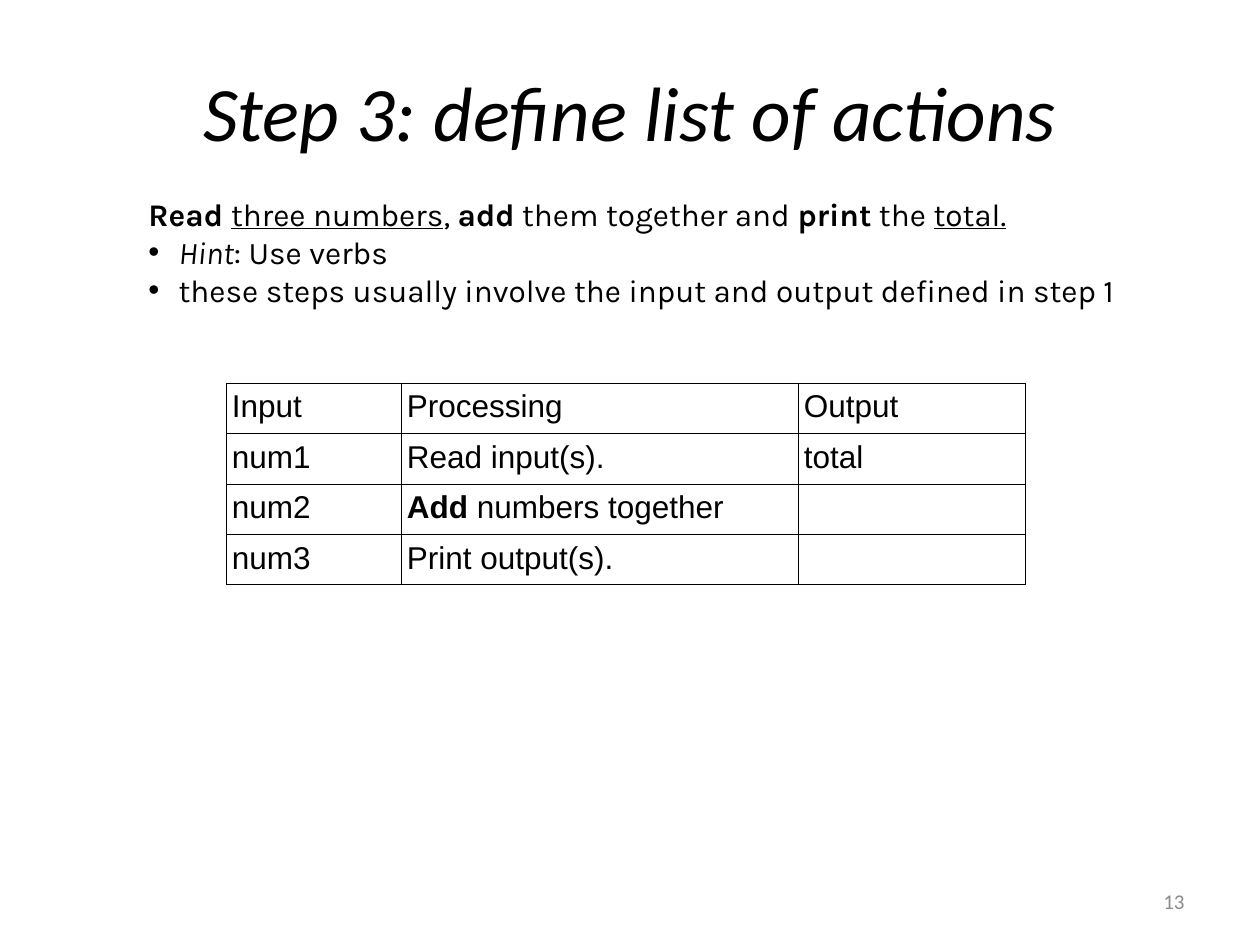
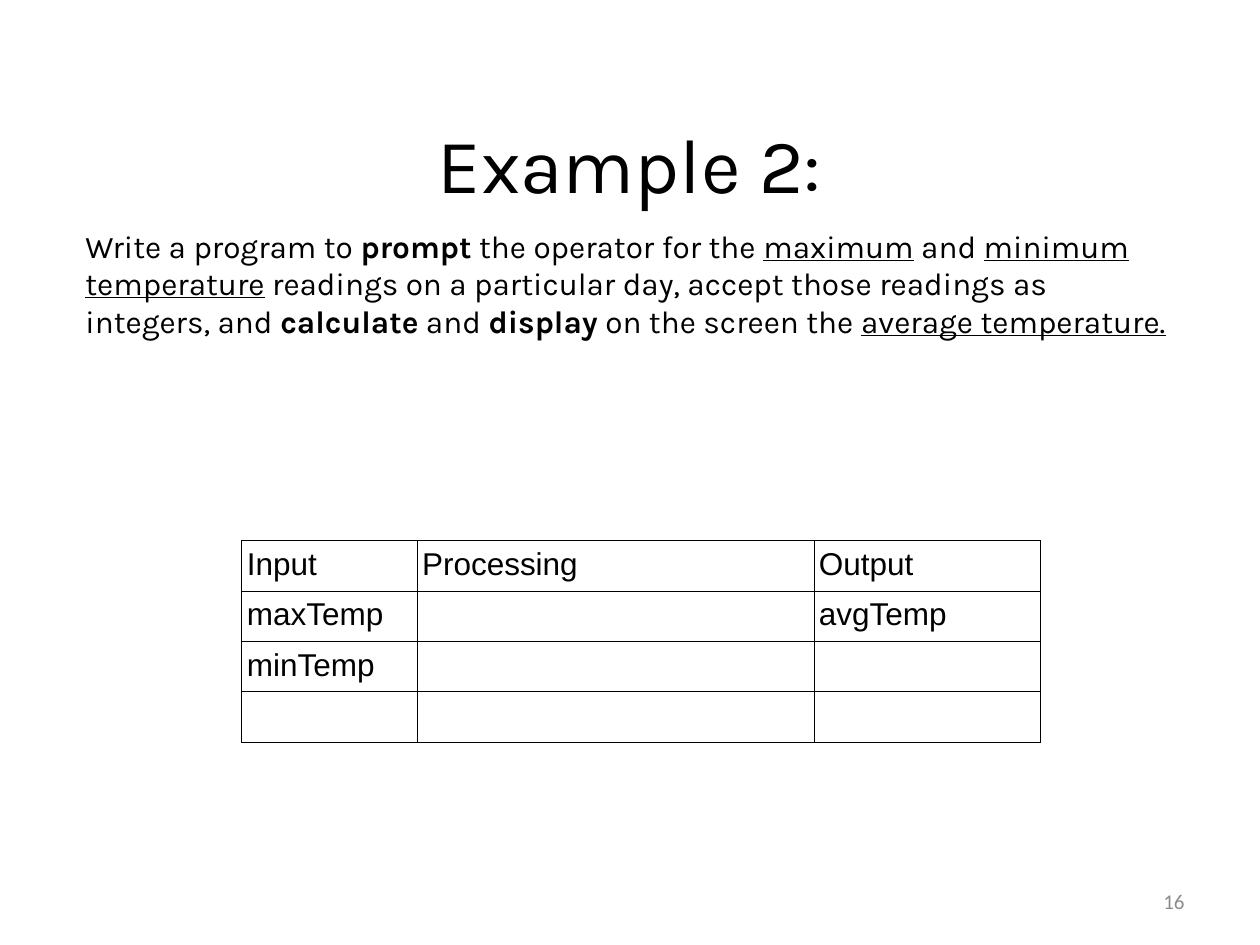
from lxml import etree
from pptx import Presentation
from pptx.dml.color import RGBColor
from pptx.enum.text import MSO_ANCHOR, PP_ALIGN
from pptx.oxml.ns import qn
from pptx.util import Inches, Pt

CENTER = PP_ALIGN.CENTER
RIGHT = PP_ALIGN.RIGHT
MIDDLE = MSO_ANCHOR.MIDDLE
BLACK = RGBColor(0x00, 0x00, 0x00)
GREY = RGBColor(0x8C, 0x8C, 0x8C)
BODY_FONT = "Karla"
NUMBER_FONT = "Calibri"
TABLE_FONT = "Arial"
TITLE_ONLY = 5
COLUMN_WIDTHS = (1.39, 3.15, 1.8)
ROW_HEIGHT = 0.4
BORDER_WIDTH = 0.57
BULLET_INDENT = 0.24


class Deck:
    def __init__(self):
        self.presentation = Presentation()
        self.presentation.slide_width = Inches(10)
        self.presentation.slide_height = Inches(7.5)
        self.slide = None

    def add_slide(self, number):
        layout = self.presentation.slide_layouts[TITLE_ONLY]
        self.slide = self.presentation.slides.add_slide(layout)
        text_frame = self.text_box(7.17, 6.95, 2.33, 0.4)
        text_frame.vertical_anchor = MIDDLE
        paragraph = text_frame.paragraphs[0]
        paragraph.alignment = RIGHT
        self.add_runs(paragraph, [(str(number), "")], NUMBER_FONT, 12, GREY)

    def title(self, text, top, font, style=""):
        shape = self.slide.shapes.title
        shape.left, shape.top = Inches(0.75), Inches(top)
        shape.width, shape.height = Inches(8.5), Inches(1.25)
        shape.text_frame.vertical_anchor = MIDDLE
        paragraph = shape.text_frame.paragraphs[0]
        paragraph.alignment = CENTER
        self.add_runs(paragraph, [(text, style)], font, 44)

    def text_box(self, left, top, width, height):
        shape = self.slide.shapes.add_textbox(
            Inches(left), Inches(top), Inches(width), Inches(height))
        shape.text_frame.word_wrap = True
        return shape.text_frame

    def add_runs(self, paragraph, pieces, font, size, color=BLACK):
        for text, style in pieces:
            run = paragraph.add_run()
            run.text = text
            run.font.name = font
            run.font.size = Pt(size)
            run.font.color.rgb = color
            run.font.bold = "b" in style
            run.font.italic = "i" in style
            run.font.underline = "u" in style

    def body(self, left, top, width, height, statement, bullets=()):
        text_frame = self.text_box(left, top, width, height)
        self.add_runs(text_frame.paragraphs[0], statement, BODY_FONT, 18)
        for pieces in bullets:
            paragraph = text_frame.add_paragraph()
            self.bullet(paragraph)
            self.add_runs(paragraph, pieces, BODY_FONT, 18)

    def bullet(self, paragraph):
        properties = paragraph._p.get_or_add_pPr()
        properties.set("marL", str(Inches(BULLET_INDENT)))
        properties.set("indent", str(-Inches(BULLET_INDENT)))
        etree.SubElement(properties, qn("a:buFont"), typeface="Arial")
        etree.SubElement(properties, qn("a:buChar"), char="•")

    def table(self, left, top, rows):
        frame = self.slide.shapes.add_table(
            len(rows), len(COLUMN_WIDTHS), Inches(left), Inches(top),
            Inches(sum(COLUMN_WIDTHS)), Inches(ROW_HEIGHT * len(rows)))
        table = frame.table
        table.first_row = False
        table.horz_banding = False
        for column, width in zip(table.columns, COLUMN_WIDTHS):
            column.width = Inches(width)
        for row, contents in zip(table.rows, rows):
            row.height = Inches(ROW_HEIGHT)
            for cell, content in zip(row.cells, contents):
                self.cell(cell, content)

    def cell(self, cell, content):
        cell.margin_left = cell.margin_right = Inches(0.04)
        cell.margin_top = cell.margin_bottom = Inches(0.05)
        cell.fill.background()
        self.borders(cell)
        if content:
            pieces = [(content, "")] if isinstance(content, str) else content
            self.add_runs(cell.text_frame.paragraphs[0], pieces, TABLE_FONT, 18)

    def borders(self, cell):
        properties = cell._tc.get_or_add_tcPr()
        for position, side in enumerate(("lnL", "lnR", "lnT", "lnB")):
            line = etree.Element(qn(f"a:{side}"), w=str(Pt(BORDER_WIDTH)))
            fill = etree.SubElement(line, qn("a:solidFill"))
            etree.SubElement(fill, qn("a:srgbClr"), val=str(BLACK))
            properties.insert(position, line)


def add_actions_slide(deck):
    deck.add_slide(13)
    deck.title("Step 3: define list of actions", 0.25, "Calibri", "i")
    deck.body(
        1.08, 1.5, 8.33, 1.3,
        [("Read ", "b"), ("three numbers", "u"), (", ", ""), ("add", "b"),
         (" them together and ", ""), ("print", "b"), (" the ", ""),
         ("total.", "u")],
        [[("Hint", "i"), (": Use verbs", "")],
         [("these steps usually involve the input and output "
           "defined in step 1", "")]])
    deck.table(1.8, 3.04, [
        ("Input", "Processing", "Output"),
        ("num1", "Read input(s).", "total"),
        ("num2", [("Add", "b"), (" numbers together", "")], ""),
        ("num3", "Print output(s).", "")])


def add_example_slide(deck):
    deck.add_slide(16)
    deck.title("Example 2:", 0.67, BODY_FONT)
    deck.body(
        0.58, 1.75, 8.83, 1.6,
        [("Write a program to ", ""), ("prompt", "b"),
         (" the operator for the ", ""), ("maximum", "u"), (" and ", ""),
         ("minimum temperature", "u"),
         (" readings on a particular day, accept those readings "
          "as integers, and ", ""),
         ("calculate", "b"), (" and ", ""), ("display", "b"),
         (" on the screen the ", ""), ("average temperature.", "u")])
    deck.table(1.92, 4.29, [
        ("Input", "Processing", "Output"),
        ("maxTemp", "", "avgTemp"),
        ("minTemp", "", ""),
        ("", "", "")])


def main():
    deck = Deck()
    add_actions_slide(deck)
    add_example_slide(deck)
    deck.presentation.save("out.pptx")


if __name__ == "__main__":
    main()
